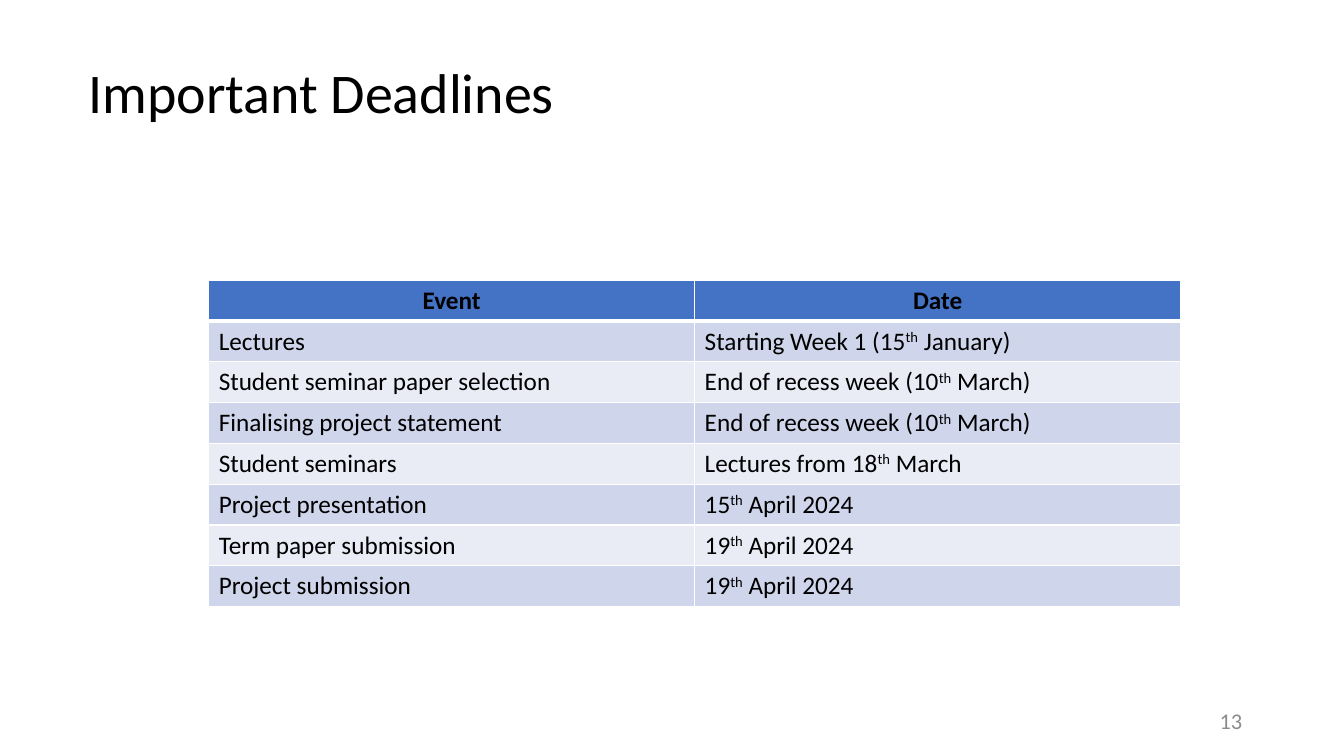
import pptx
import pptx.dml.color
import pptx.enum.text
import pptx.oxml
import pptx.oxml.ns
import pptx.util
from pptx.util import Inches

ALIGN = pptx.enum.text.PP_ALIGN
ANCHOR = pptx.enum.text.MSO_ANCHOR
COLORS = {"ink": "000000", "gray": "8C8C8C", "head": "4472C4",
          "dark": "CFD5EA", "light": "E9EBF5", "rule": "FFFFFF"}
ROWS = [
    ("Event", "Date"),
    ("Lectures", "Starting Week 1 (15th January)"),
    ("Student seminar paper selection", "End of recess week (10th March)"),
    ("Finalising project statement", "End of recess week (10th March)"),
    ("Student seminars", "Lectures from 18th March"),
    ("Project presentation", "15th April 2024"),
    ("Term paper submission", "19th April 2024"),
    ("Project submission", "19th April 2024"),
]


def color(name):
    return pptx.dml.color.RGBColor.from_string(COLORS[name])


def style(para, size, ink="ink", bold=False, align=ALIGN.LEFT):
    para.alignment = align
    font = para.font
    font.name, font.size, font.bold = "Calibri", pptx.util.Pt(size), bold
    font.color.rgb = color(ink)


def add_text(slide, box, text, size, **look):
    frame = slide.shapes.add_textbox(*map(Inches, box)).text_frame
    frame.word_wrap = True
    frame.vertical_anchor = ANCHOR.MIDDLE
    para = frame.paragraphs[0]
    para.text = text
    style(para, size, **look)
    return para


def add_date(para, text):
    """Write the text with its ordinal ending raised."""
    day, mark, rest = text.partition("th ")
    para.add_run().text = day
    if mark:
        end = para.add_run()
        end.text = "th"
        end.font._element.set("baseline", "30000")
        para.add_run().text = " " + rest


def add_rules(cell, widths):
    props = cell._tc.get_or_add_tcPr()
    for spot, (side, width) in enumerate(widths.items()):
        line = pptx.oxml.parse_xml(
            f'<a:ln{side} {pptx.oxml.ns.nsdecls("a")} w="{pptx.util.Pt(width)}">'
            f'<a:solidFill><a:srgbClr val="{COLORS["rule"]}"/></a:solidFill>'
            f'</a:ln{side}>')
        props.insert(spot, line)


def add_grid(slide, box, rows):
    left, top, width, height = map(Inches, box)
    grid = slide.shapes.add_table(
        len(rows), len(rows[0]), left, top, width, height).table
    grid.first_row = grid.horz_banding = False
    for i, row in enumerate(rows):
        head = i == 0
        fill = "head" if head else ("light", "dark")[i % 2]
        for j, text in enumerate(row):
            cell = grid.cell(i, j)
            cell.fill.solid()
            cell.fill.fore_color.rgb = color(fill)
            para = cell.text_frame.paragraphs[0]
            add_date(para, text)
            style(para, 18, bold=head,
                  align=ALIGN.CENTER if head else ALIGN.LEFT)
            # The rule under the header is thicker
            add_rules(cell, {"L": 1, "R": 1, "T": 3 if i == 1 else 1,
                             "B": 3 if head else 1})


def main():
    deck = pptx.Presentation()
    deck.slide_width, deck.slide_height = Inches(13.33), Inches(7.5)
    slide = deck.slides.add_slide(deck.slide_layouts[6])

    # Title
    title = add_text(slide, (0.78, 0.22, 11.78, 1.45),
                     "Important Deadlines", 40)
    title.line_spacing = 0.9

    # Deadlines
    add_grid(slide, (2.07, 2.78, 9.64, 3.24), ROWS)

    # Page number
    add_text(slide, (9.42, 6.95, 3, 0.4), "13", 16,
             ink="gray", align=ALIGN.RIGHT)
    deck.save("out.pptx")


if __name__ == "__main__":
    main()
